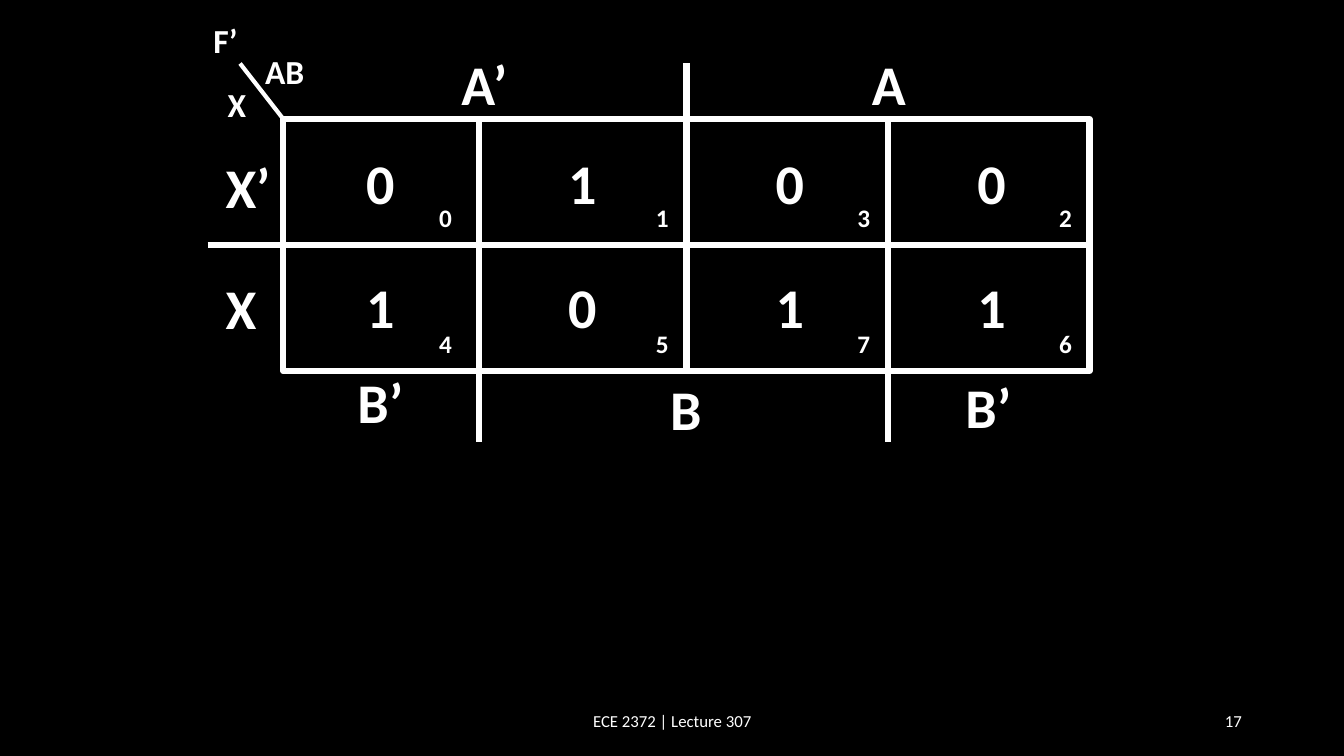
from lxml import etree
from pptx import Presentation
from pptx.dml.color import RGBColor
from pptx.enum import shapes, text
from pptx.oxml import ns
from pptx.util import Cm, Pt

WHITE = RGBColor(255, 255, 255)
BLACK = RGBColor(0, 0, 0)
LEFT, CENTER, RIGHT = text.PP_ALIGN.LEFT, text.PP_ALIGN.CENTER, text.PP_ALIGN.RIGHT
HIGH = {12: 1.02, 18: 1.02, 24: 1.27, 40: 1.96}  # box height by text size


def write(home, words, x, y, wide, size, align=LEFT):
    box = home.add_textbox(Cm(x), Cm(y), Cm(wide), Cm(HIGH[size]))
    frame = box.text_frame
    label = size > 12
    frame.word_wrap = not label
    if label:
        frame.auto_size = text.MSO_AUTO_SIZE.SHAPE_TO_FIT_TEXT
    else:
        frame.vertical_anchor = text.MSO_ANCHOR.MIDDLE
    par = frame.paragraphs[0]
    par.alignment = align
    run = par.add_run()
    run.text = words
    run.font.name = "Calibri"
    run.font.size = Pt(size)
    run.font.bold = label
    run.font.color.rgb = WHITE


def rule(home, x1, y1, x2, y2, width=4.5):
    line = home.add_connector(shapes.MSO_CONNECTOR.STRAIGHT,
                              Cm(x1), Cm(y1), Cm(x2), Cm(y2))
    line.line.color.rgb = WHITE
    line.line.width = Pt(width)
    etree.SubElement(line._element.spPr, ns.qn("a:effectLst"))


deck = Presentation()
deck.slide_width, deck.slide_height = Cm(33.87), Cm(19.05)
slide = deck.slides.add_slide(deck.slide_layouts[6])
slide.background.fill.solid()
slide.background.fill.fore_color.rgb = BLACK

# Footer and page number
write(slide.shapes, "ECE 2372 | Lecture 307", 11.23, 17.65, 11.43, 12, CENTER)
write(slide.shapes, "17", 23.93, 17.65, 7.62, 12, RIGHT)

# Frame of the map
board = slide.shapes.add_group_shape().shapes
west, top, wide, high = 7.14, 3, 20.32, 6.35
east, base, mid = west + wide, top + high, top + high / 2
frame = board.add_shape(shapes.MSO_SHAPE.RECTANGLE,
                        Cm(west), Cm(top), Cm(wide), Cm(high))
frame.shadow.inherit = False
frame.fill.background()
frame.line.color.rgb = WHITE
frame.line.width = Pt(4.5)

# Dividing lines, drawn past the frame to split the labels
rule(board, 17.3, 1.6, 17.3, base)
rule(board, 5.23, mid, east, mid)
for x in (12.07, 22.38):
    rule(board, x, top, x, 11.13)
rule(board, west, top, 6.05, 1.6, 3)

# Corner names and side labels
for words, x, y, span, size in (
    ("F’", 5.13, 0.38, 1.14, 24),
    ("X", 5.49, 1.98, 0.99, 24),
    ("AB", 6.43, 1.17, 1.5, 24),
    ("X’", 5.44, 3.73, 1.65, 40),
    ("X", 5.44, 6.78, 1.3, 40),
    ("A’", 11.38, 1.12, 1.68, 40),
    ("A", 21.72, 1.12, 1.37, 40),
    ("B’", 8.76, 9.14, 1.68, 40),
    ("B", 16.64, 9.32, 1.32, 40),
    ("B’", 24.08, 9.27, 1.68, 40),
):
    write(board, words, x, y, span, size)

# Cell numbers and values, row by row
for cells, values, low, y in (("0132", "0100", 4.98, 3.61),
                              ("4576", "1011", 8.16, 6.74)):
    for cell, x in zip(cells, (10.82, 16.28, 21.36, 26.44)):
        write(board, cell, x, low, 0.84, 18)
    for value, x in zip(values, (8.98, 14.07, 19.3, 24.38)):
        write(board, value, x, y, 1.24, 40)

deck.save("out.pptx")
